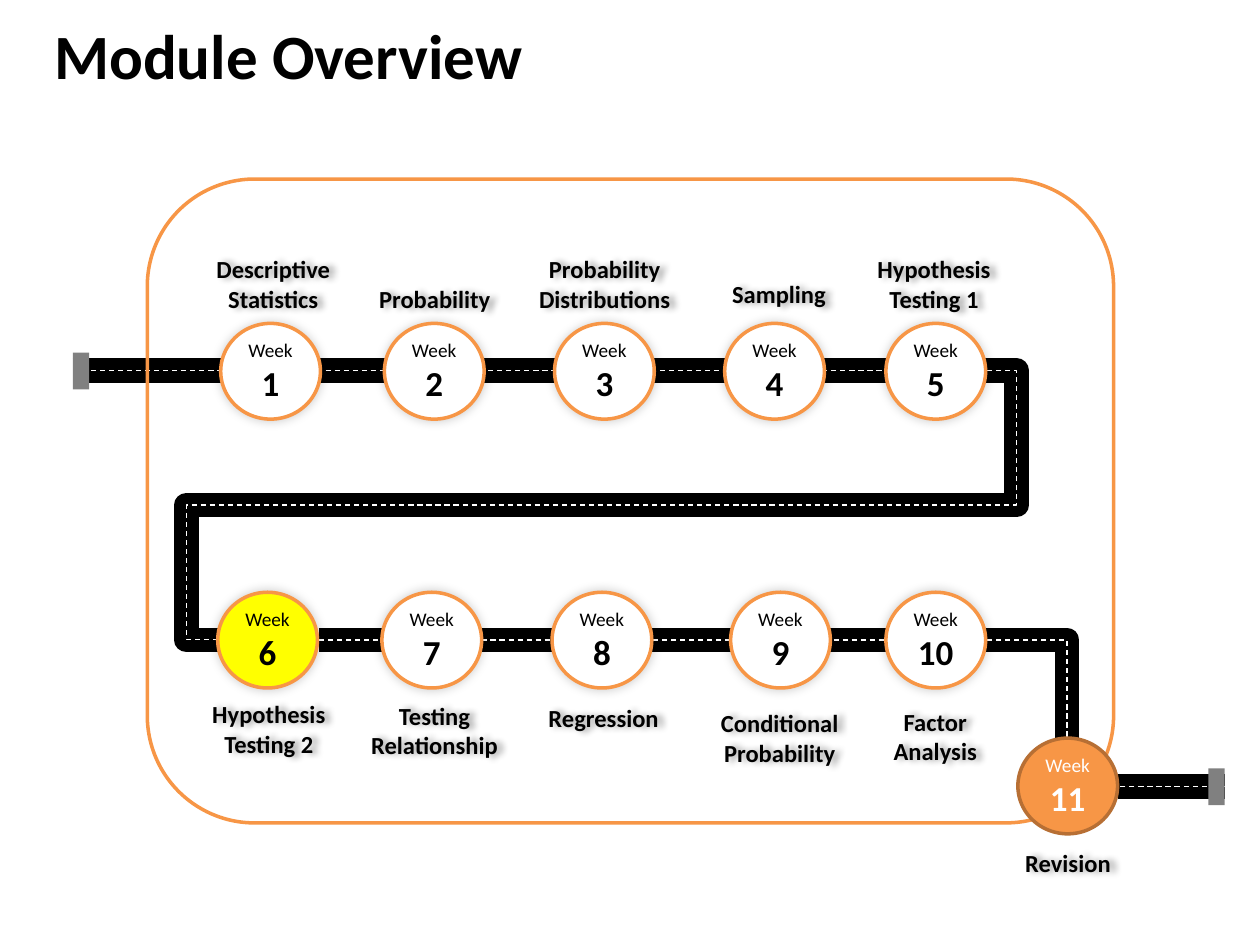
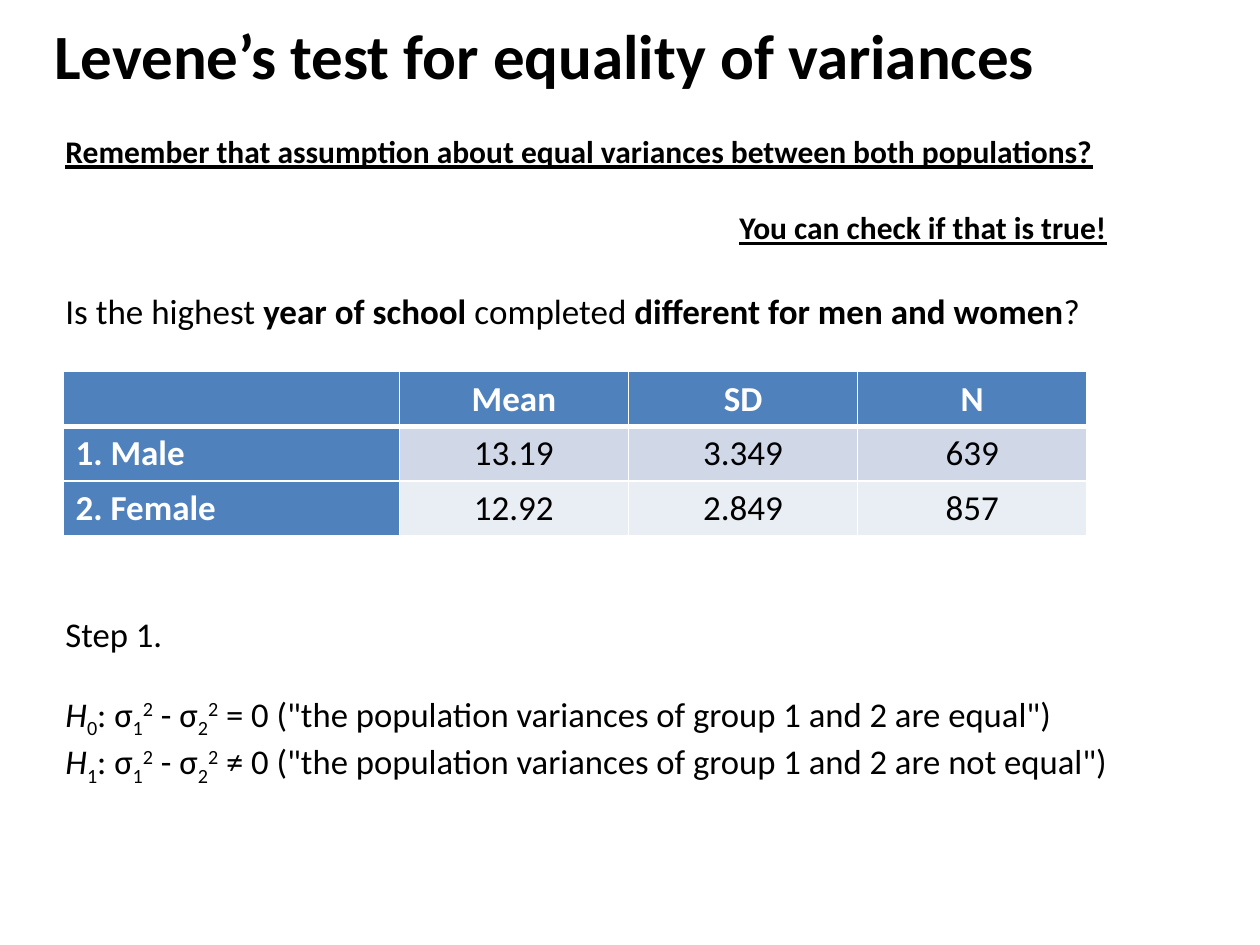
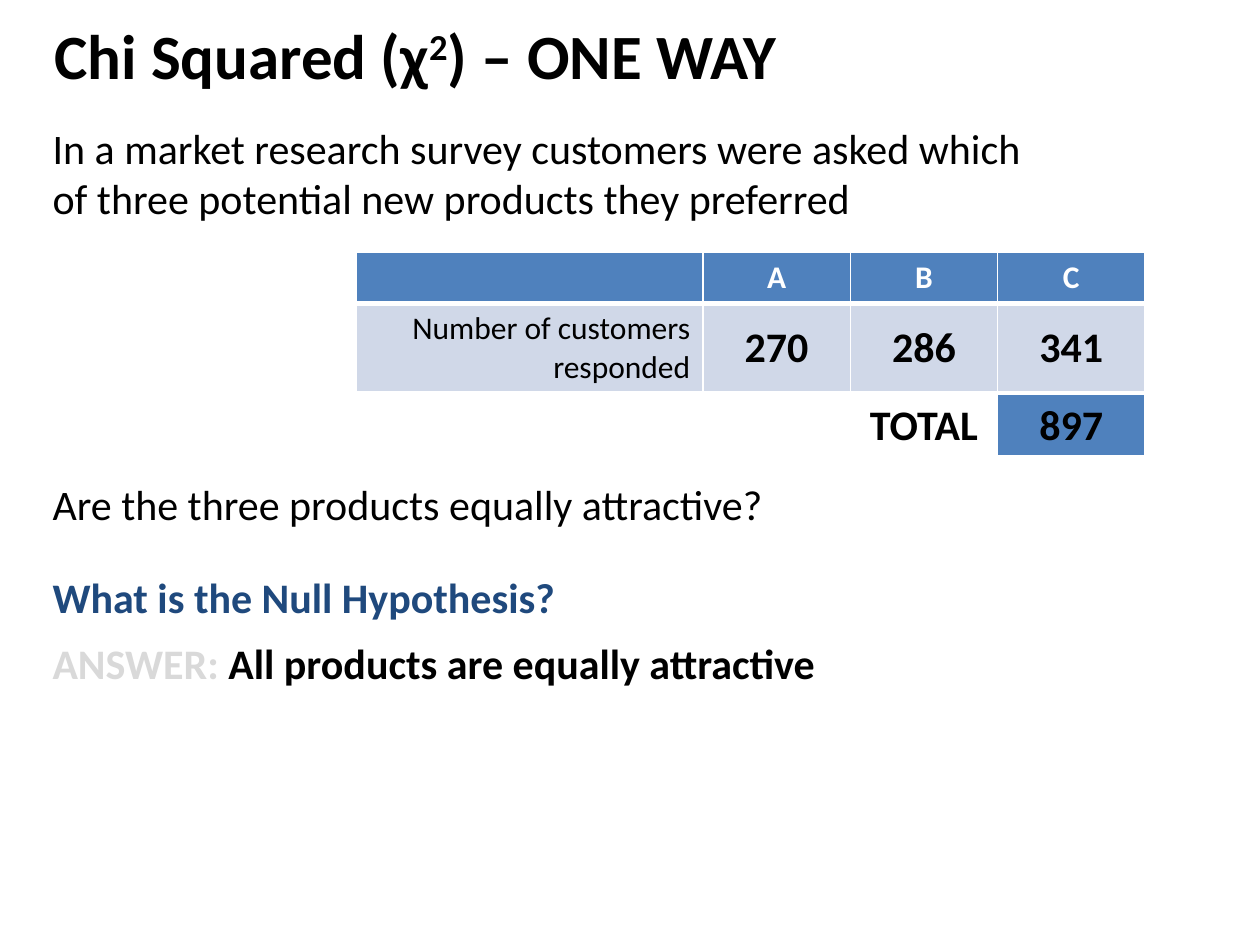
"""Build three statistics lecture slides: a module road map and two hypothesis tests."""
import pptx
import pptx.dml.color
import pptx.enum.dml
import pptx.enum.shapes
import pptx.enum.text
import pptx.oxml
import pptx.oxml.ns
import pptx.util

Cm = pptx.util.Cm
Pt = pptx.util.Pt
SHAPE = pptx.enum.shapes.MSO_SHAPE
CONNECTOR = pptx.enum.shapes.MSO_CONNECTOR
ALIGN = pptx.enum.text.PP_ALIGN
ANCHOR = pptx.enum.text.MSO_ANCHOR

FONT = "Calibri"
BLACK, WHITE, GREY, PALE_GREY = "000000", "FFFFFF", "808080", "D9D9D9"
ORANGE, BROWN, YELLOW = "F79646", "B76F34", "FFFF00"
BLUE, NAVY, BAND, LIGHT_BAND = "4F81BD", "1F497D", "D0D8E8", "E9EDF4"
BASELINES = {"sub": "-25000", "super": "30000"}

WEEK_WIDTH, WEEK_HEIGHT = 2.01, 1.93
TOP_WEEKS, BOTTOM_WEEKS = 6.52, 11.94
ROAD_TOP, ROAD_BOTTOM, ROAD_EXIT = 7.47, 12.9, 15.85

WEEKS = [
    (4.45, TOP_WEEKS, "Descriptive\nStatistics", 4.09, 5.0, 2.84),
    (7.75, TOP_WEEKS, "Probability", 7.37, 5.61, 2.79),
    (11.18, TOP_WEEKS, "Probability\nDistributions", 10.59, 5.0, 3.2),
    (14.61, TOP_WEEKS, "Sampling", 14.5, 5.51, 2.41),
    (17.86, TOP_WEEKS, "Hypothesis\nTesting 1", 17.42, 5.0, 2.82),
    (4.39, BOTTOM_WEEKS, "Hypothesis\nTesting 2", 4.01, 13.97, 2.82),
    (7.7, BOTTOM_WEEKS, "Testing\nRelationship", 7.21, 14.0, 3.1),
    (11.13, BOTTOM_WEEKS, "Regression", 10.8, 14.05, 2.74),
    (14.73, BOTTOM_WEEKS, "Conditional\nProbability", 14.27, 14.15, 2.9),
    (17.86, BOTTOM_WEEKS, "Factor\nAnalysis", 17.6, 14.12, 2.51),
    (20.52, 14.88, "Revision", 20.4, 16.97, 2.26),
]
WEEK_COLOURS = {6: (YELLOW, ORANGE, BLACK), 11: (ORANGE, BROWN, WHITE)}


def colour(code):
    return pptx.dml.color.RGBColor.from_string(code)


def add_xml(parent, body):
    tag, rest = body[1:].split(" ", 1)
    element = pptx.oxml.parse_xml(f"<{tag} {pptx.oxml.ns.nsdecls('a')} {rest}")
    parent.append(element)


def format_font(font, size, code, bold=False):
    font.name = FONT
    font.size = Pt(size)
    font.bold = bold
    font.color.rgb = colour(code)


def write_spans(para, spans, size, code=BLACK, bold=False):
    """Each span is a text, or a text with a style word or a colour."""
    for item in spans:
        text, style = (item, "") if isinstance(item, str) else item
        span = para.add_run()
        span.text = text
        span_colour = style if len(style) == 6 and style != "italic" else code
        format_font(span.font, size, span_colour, bold or style == "bold")
        if style == "italic":
            span.font.italic = True
        if style in BASELINES:
            span._r.get_or_add_rPr().set("baseline", BASELINES[style])


def format_text(frame, size, code=BLACK, bold=False, align=ALIGN.LEFT):
    for para in frame.paragraphs:
        para.alignment = align
        for span in para.runs:
            format_font(span.font, size, code, bold)


def add_page(deck, title_spans):
    page = deck.slides.add_slide(deck.slide_layouts[5])
    title = page.shapes.title
    title.left, title.top, title.width, title.height = Cm(0.84), Cm(0.2), Cm(22.86), Cm(2.4)
    title.text_frame.vertical_anchor = ANCHOR.TOP
    para = title.text_frame.paragraphs[0]
    para.alignment = ALIGN.LEFT
    write_spans(para, title_spans, 36, bold=True)
    return page


def add_text(page, left, top, width, height, lines, size, code=BLACK, bold=False):
    box = page.shapes.add_textbox(Cm(left), Cm(top), Cm(width), Cm(height))
    frame = box.text_frame
    frame.word_wrap = True
    for index, spans in enumerate(lines):
        para = frame.add_paragraph() if index else frame.paragraphs[0]
        write_spans(para, spans, size, code, bold)
    return frame


def add_shadow(shape, opacity, blur, distance, angle):
    properties = shape._element.spPr
    for old in properties.findall(pptx.oxml.ns.qn("a:effectLst")):
        properties.remove(old)
    add_xml(properties, (
        f'<a:effectLst ><a:outerShdw blurRad="{Pt(blur)}" dist="{Pt(distance)}" '
        f'dir="{angle * 60000}" algn="ctr" rotWithShape="0"><a:srgbClr val="{BLACK}">'
        f'<a:alpha val="{opacity * 1000}"/></a:srgbClr></a:outerShdw></a:effectLst>'))


def add_shape(page, kind, left, top, width, height, fill=None, line=None):
    shape = page.shapes.add_shape(kind, Cm(left), Cm(top), Cm(width), Cm(height))
    shape.shadow.inherit = False
    if fill:
        shape.fill.solid()
        shape.fill.fore_color.rgb = colour(fill)
    else:
        shape.fill.background()
    if line:
        shape.line.color.rgb = colour(line)
        shape.line.width = Pt(2)
    else:
        shape.line.fill.background()
    return shape


def add_road(page, begin, end, preset="line", adjustments=()):
    """Draw a black road with a dashed white centre line."""
    for code, width in ((BLACK, 14), (WHITE, 0.75)):
        road = page.shapes.add_connector(CONNECTOR.STRAIGHT, *map(Cm, begin + end))
        road.line.color.rgb = colour(code)
        road.line.width = Pt(width)
        if code == WHITE:
            road.line.dash_style = pptx.enum.dml.MSO_LINE.DASH
        properties = road._element.spPr
        geometry = properties.find(pptx.oxml.ns.qn("a:prstGeom"))
        geometry.set("prst", preset)
        guides = geometry.find(pptx.oxml.ns.qn("a:avLst"))
        for number, value in enumerate(adjustments, 1):
            add_xml(guides, f'<a:gd name="adj{number}" fmla="val {value}"/>')
        add_xml(properties, "<a:effectLst />")


def add_week(page, number, left, top):
    fill, line, code = WEEK_COLOURS.get(number, (WHITE, ORANGE, BLACK))
    circle = add_shape(page, SHAPE.OVAL, left, top, WEEK_WIDTH, WEEK_HEIGHT, fill, line)
    if number < 11:
        add_shadow(circle, 20, 6, 0, 315)
    frame = circle.text_frame
    frame.word_wrap = False
    frame.margin_left = frame.margin_right = frame.margin_top = frame.margin_bottom = 0
    frame.vertical_anchor = ANCHOR.MIDDLE
    frame.text = f"Week\n{number}"
    format_text(frame, 11, code, align=ALIGN.CENTER)
    format_font(frame.paragraphs[1].runs[0].font, 20, code, True)


def add_topic(page, text, left, top, width):
    height = 1.44 if "\n" in text else 0.86
    box = page.shapes.add_textbox(Cm(left), Cm(top), Cm(width), Cm(height))
    box.text_frame.word_wrap = False
    box.text_frame.text = text
    format_text(box.text_frame, 14, bold=True, align=ALIGN.CENTER)
    add_shadow(box, 40, 4, 3, 0)


def add_borders(cell, row):
    widths = {"L": 1, "R": 1, "T": 3 if row == 1 else 1, "B": 3 if row == 0 else 1}
    for side, width in widths.items():
        add_xml(cell._tc.get_or_add_tcPr(), (
            f'<a:ln{side} w="{Pt(width)}"><a:solidFill><a:srgbClr val="{WHITE}"/>'
            f'</a:solidFill></a:ln{side}>'))


def add_table(page, left, top, widths, heights, rows, style):
    """Fill a table; style gives fill, size, colour, bold and alignment for a cell."""
    holder = page.shapes.add_table(
        len(rows), len(widths), Cm(left), Cm(top), Cm(sum(widths)), Cm(sum(heights)))
    table = holder.table
    table.first_row = table.horz_banding = False
    for column, width in zip(table.columns, widths):
        column.width = Cm(width)
    for index, texts in enumerate(rows):
        table.rows[index].height = Cm(heights[index])
        for position, text in enumerate(texts):
            cell = table.cell(index, position)
            fill, *font_style = style(index, position)
            add_borders(cell, index)
            if fill:
                cell.fill.solid()
                cell.fill.fore_color.rgb = colour(fill)
            else:
                cell.fill.background()
            cell.vertical_anchor = ANCHOR.MIDDLE
            if text:
                cell.text = text
                format_text(cell.text_frame, *font_style)


def style_school(row, column):
    align = ALIGN.CENTER if column else ALIGN.LEFT
    if row == 0 or column == 0:
        return BLUE, 20, WHITE, True, align
    return (BAND if row == 1 else LIGHT_BAND), 20, BLACK, False, align


def style_customers(row, column):
    if column == 0:
        return None, 18, BLACK, False, ALIGN.LEFT
    if row == 0:
        return BLUE, 18, WHITE, True, ALIGN.CENTER
    if column == 1:
        return BAND, 18, BLACK, False, ALIGN.RIGHT
    return BAND, 24, BLACK, True, ALIGN.CENTER


def style_total(row, column):
    return (BLUE if column == 4 else None), 24, BLACK, True, ALIGN.CENTER


def hypothesis(number, relation, meaning):
    return [("H", "italic"), (number, "sub"), ": σ", ("1", "sub"), ("2", "super"),
            "\u00a0- σ", ("2", "sub"), ("2", "super"),
            f'\u00a0{relation} 0 ("the population variances of group 1 and 2 are {meaning}")']


def build_overview(deck):
    page = add_page(deck, ["Module Overview"])
    add_road(page, (1.47, ROAD_TOP), (17.86, ROAD_TOP))
    add_shape(page, SHAPE.ROUNDED_RECTANGLE, 2.97, 3.61, 19.48, 12.98, line=ORANGE)
    add_road(page, (6.43, ROAD_BOTTOM), (21.51, 14.88), "bentConnector2")
    add_road(page, (4.39, ROAD_BOTTOM), (19.86, ROAD_TOP), "bentConnector5",
             (-4100, 50000, 104100))
    add_road(page, (24.69, ROAD_EXIT), (22.53, ROAD_EXIT))
    for left, top in ((1.47, 7.11), (24.36, 15.49)):
        add_shape(page, SHAPE.RECTANGLE, left, top, 0.33, 0.74, GREY)
    for number, (left, top, topic, *place) in enumerate(WEEKS, 1):
        add_topic(page, topic, *place)
        add_week(page, number, left, top)


def build_levene(deck):
    page = add_page(deck, ["Levene’s test for equality of variances"])
    reminder = add_text(page, 1.07, 2.54, 21.49, 2.57, [
        ["Remember that assumption about equal variances between both populations?"],
        ["You can check if that is true!"]], 18, bold=True)
    for para in reminder.paragraphs:
        para.runs[0].font.underline = True
    reminder.paragraphs[1].alignment = ALIGN.RIGHT
    reminder.paragraphs[1].space_before = Pt(22)
    add_text(page, 1.07, 5.72, 21.6, 1.12, [[
        "Is the highest ", ("year of school", "bold"), " completed ",
        ("different for men and women", "bold"), "?"]], 20)
    add_table(page, 1.27, 7.49, [6.78] + [4.62] * 3, [1.1] * 3, [
        ["", "Mean", "SD", "N"],
        ["1. Male", "13.19", "3.349", "639"],
        ["2. Female", "12.92", "2.849", "857"]], style_school)
    steps = add_text(page, 1.07, 12.22, 22.86, 3.18, [
        ["Step 1."], hypothesis("0", "=", "equal"), hypothesis("1", "≠", "not equal")], 19.8)
    steps.paragraphs[1].space_before = Pt(22)


def build_chi_squared(deck):
    page = add_page(deck, ["Chi Squared (χ", ("2", "super"), ") – ONE WAY"])
    add_text(page, 0.81, 2.34, 20.37, 2.31, [[
        "In a market research survey customers were asked which of three potential "
        "new products they preferred"]], 24)
    widths = [5.28, 6.99] + [2.97] * 3
    add_table(page, 1.9, 5.08, widths, [1.04, 1.78], [
        ["", "", "A", "B", "C"],
        ["", "Number of customers responded", "270", "286", "341"]], style_customers)
    add_table(page, 1.9, 7.95, widths, [1.27], [["", "", "", "TOTAL", "897"]], style_total)
    add_text(page, 0.81, 9.53, 17, 1.27, [["Are the three products equally attractive?"]], 24)
    add_text(page, 0.81, 11.4, 17, 1.27, [["What is the Null Hypothesis?"]], 24, NAVY, True)
    add_text(page, 0.81, 12.73, 17, 1.27, [
        [("ANSWER: ", PALE_GREY), "All products are equally attractive"]], 24, bold=True)


def main():
    deck = pptx.Presentation()
    deck.slide_width, deck.slide_height = Cm(25.4), Cm(19.05)
    build_overview(deck)
    build_levene(deck)
    build_chi_squared(deck)
    deck.save("out.pptx")


if __name__ == "__main__":
    main()
